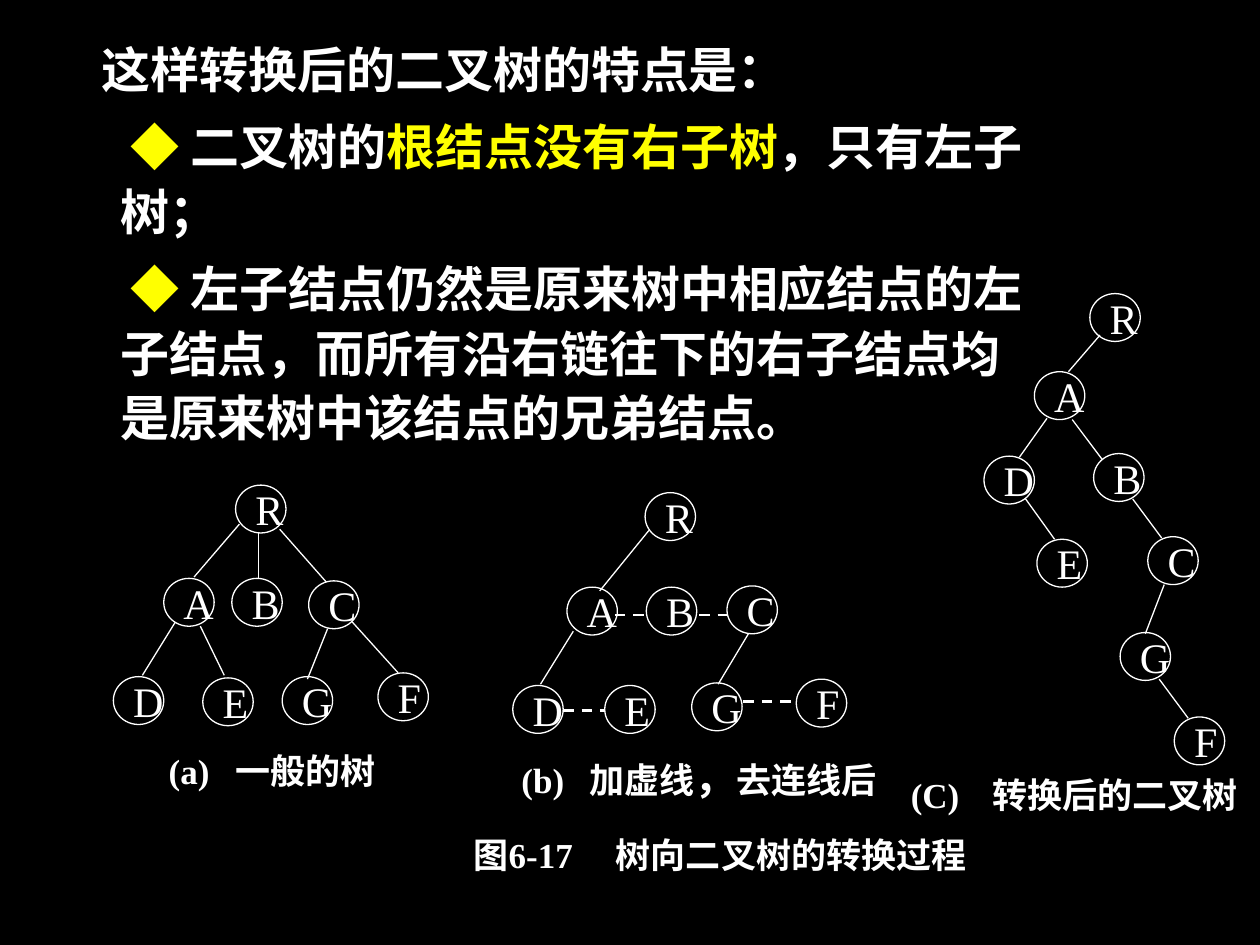
from lxml import etree
from pptx import Presentation
from pptx import util as u
from pptx.dml.color import RGBColor
from pptx.enum import dml, shapes, text
from pptx.oxml.ns import qn

COLORS = {"ground": "000000", "ink": "FFFFFF", "accent": "FFFF00"}
SERIF, SANS = "Times New Roman", "Noto Sans CJK SC"

deck = Presentation()
deck.slide_width, deck.slide_height = u.Inches(10), u.Inches(7.5)
slide = deck.slides.add_slide(deck.slide_layouts[6])
slide.background.fill.solid()
slide.background.fill.fore_color.rgb = RGBColor.from_string(COLORS["ground"])
CELL = deck.slide_width / 100


def grid(*cells):
    return [round(cell * CELL) for cell in cells]


def write(paragraph, words, size, face=SERIF, color="ink", bold=True):
    run = paragraph.add_run()
    run.text = words
    run.font.size, run.font.bold, run.font.name = u.Pt(size), bold, face
    run.font.color.rgb = RGBColor.from_string(COLORS[color])


traits = [
    (4.4, 0, [("这样转换后的二叉树的特点是：", "ink")]),
    (5.85, 0.85, [("◆", "accent"), (" 二叉树的", "ink"), ("根结点没有右子树", "accent"),
                  ("，只有左子树；", "ink")]),
    (5.85, 0.85, [("◆", "accent"), (" 左子结点仍然是原来树中相应结点的左子结点，"
                   "而所有沿右链往下的右子结点均是原来树中该结点的兄弟结点。", "ink")]),
]
summary = slide.shapes.add_textbox(*grid(2.7, 2.2, 80.3, 33.8)).text_frame
summary.word_wrap = True
for row, (margin, indent, parts) in enumerate(traits):
    trait = summary.paragraphs[0] if row == 0 else summary.add_paragraph()
    trait.line_spacing = 1.1
    trait.space_before = u.Pt(7 if row else 0)
    layout = trait._p.get_or_add_pPr()
    layout.set("marL", str(grid(margin)[0]))
    layout.set("indent", str(grid(indent)[0]))
    for words, color in parts:
        write(trait, words, 28, SANS, color)

captions = [
    (36.6, 65.9, 41.5, 3.9, 11.3, [("图6-17\t树向二叉树的转换过程", 20, SERIF)]),
    (12.4, 59.4, 18.7, 3.5, 5.3, [("(a)\t一般的树", 20, SERIF)]),
    (40.4, 59.9, 30.7, 3.5, 5.4, [("(b)\t加虚线", 20, SERIF), ("，", 24, SANS),
                                  ("去连线后", 20, SERIF)]),
    (71.3, 61.1, 28.5, 3.9, 6.5, [("(C)\t转换后的二叉树", 20, SERIF)]),
]
for left, top, width, height, stop, parts in captions:
    caption = slide.shapes.add_textbox(*grid(left, top, width, height)).text_frame
    caption.word_wrap = False
    caption.vertical_anchor = text.MSO_ANCHOR.MIDDLE
    label = caption.paragraphs[0]
    stops = etree.SubElement(label._p.get_or_add_pPr(), qn("a:tabLst"))
    etree.SubElement(stops, qn("a:tab"), pos=str(grid(stop)[0]), algn="l")
    for words, size, face in parts:
        write(label, words, size, face)

trees = [
    {"nodes": {"R": (18.7, 38.5), "A": (13, 45.9), "B": (18.4, 45.9), "C": (24.5, 46.1),
               "D": (9, 53.7), "E": (16.1, 53.8), "G": (22.4, 53.7), "F": (30, 53.4)},
     "links": [(19, 41.6, 15.4, 45.8), (20.5, 42.2, 20.5, 45.9), (22.2, 42, 25.9, 46.2),
               (13.9, 49.4, 11.3, 53.6), (15.9, 49.7, 17.8, 53.6),
               (27.9, 49.3, 31.6, 53.4), (26, 49.9, 24.4, 53.9)],
     "siblings": []},
    {"nodes": {"R": (51.2, 39.1), "A": (45, 46.6), "B": (51.3, 46.6), "C": (57.7, 46.5),
               "D": (40.7, 54.4), "E": (48, 54.4), "G": (54.9, 54.2), "F": (63.2, 53.9)},
     "links": [(51.5, 42.1, 47.6, 46.9), (45.5, 50.1, 42.9, 54.3), (59.4, 50.3, 57, 54.3)],
     "siblings": [(48.8, 48.8, 51.3, 48.8), (55.5, 48.8, 57.7, 48.8),
                  (44.7, 56.4, 48, 56.4), (59, 55.7, 63.1, 55.7)]},
    {"nodes": {"R": (86.5, 23.3), "A": (82.1, 29.5), "D": (78.1, 36.2), "B": (86.8, 36),
               "E": (82.3, 42.8), "C": (91.1, 42.6), "G": (88.9, 50.2), "F": (93.2, 56.9)},
     "links": [(87.3, 26.6, 84.8, 29.5), (83.1, 33.2, 80.9, 36.3), (85.1, 33.3, 87.5, 36.5),
               (81.4, 39.6, 83.7, 42.8), (89.9, 39.6, 92.2, 42.7),
               (92.4, 46.4, 90.9, 50.3), (92, 53.9, 94.3, 57)],
     "siblings": []},
]
for tree in trees:
    for letter, (left, top) in tree["nodes"].items():
        node = slide.shapes.add_shape(shapes.MSO_SHAPE.OVAL, *grid(left, top, 4, 3.8))
        node.shadow.inherit = False
        node.fill.background()
        node.line.color.rgb = RGBColor.from_string(COLORS["ink"])
        node.line.width = u.Pt(0.75)
        node.text_frame.word_wrap = False
        node.text_frame.vertical_anchor = text.MSO_ANCHOR.MIDDLE
        name = node.text_frame.paragraphs[0]
        name.alignment = text.PP_ALIGN.LEFT
        write(name, letter, 24, bold=False)
    for kind, weight in (("links", 0.75), ("siblings", 1.5)):
        for ends in tree[kind]:
            edge = slide.shapes.add_connector(shapes.MSO_CONNECTOR.STRAIGHT, *grid(*ends))
            edge.line.color.rgb = RGBColor.from_string(COLORS["ink"])
            edge.line.width = u.Pt(weight)
            if kind == "siblings":
                edge.line.dash_style = dml.MSO_LINE.DASH
            etree.SubElement(edge._element.spPr, qn("a:effectLst"))

deck.save("out.pptx")
